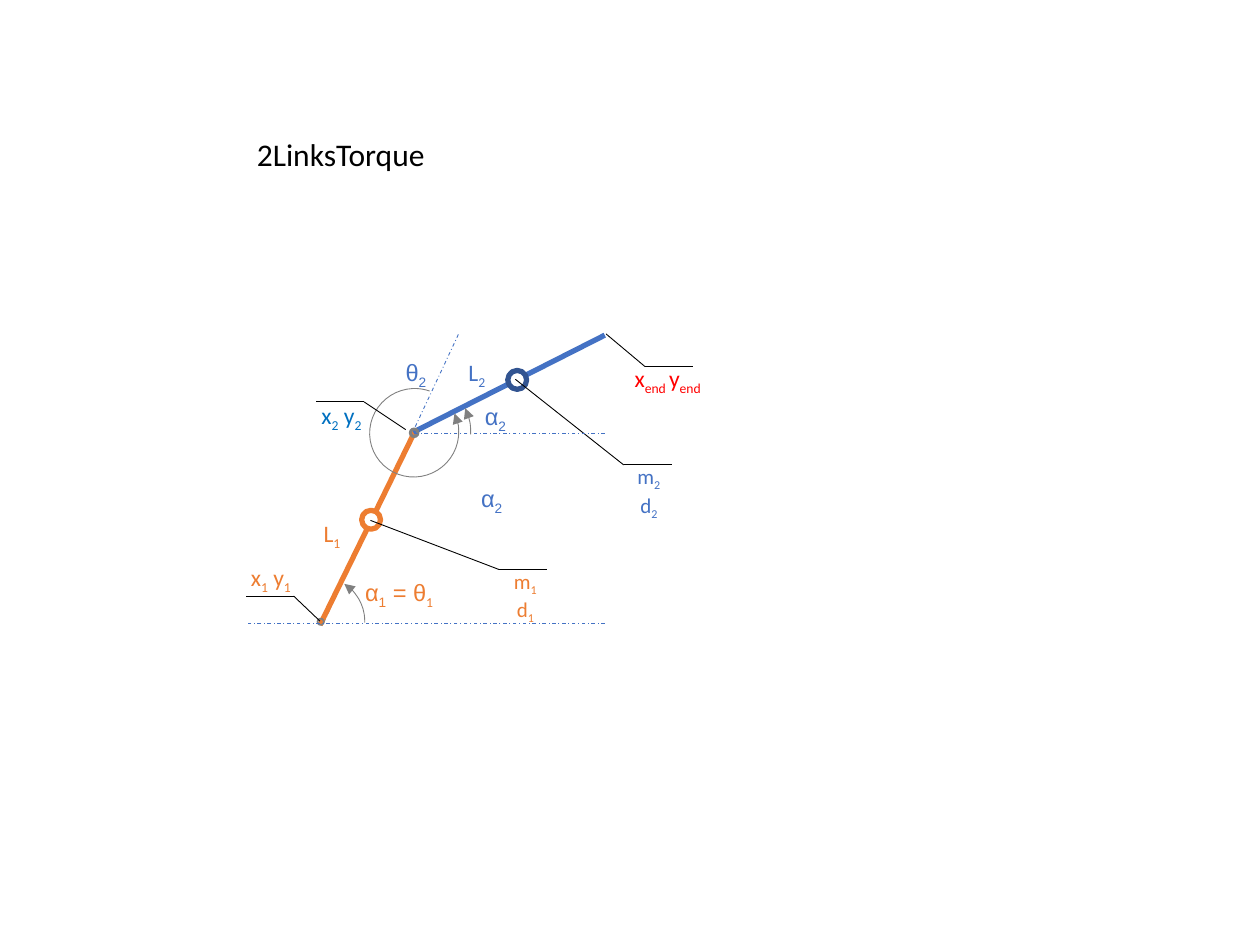
import pptx
import pptx.util
import pptx.dml.color
import pptx.enum.dml
import pptx.enum.shapes
import pptx.enum.text
import pptx.oxml.ns
import lxml.etree

RGB = pptx.dml.color.RGBColor
SHAPE = pptx.enum.shapes.MSO_SHAPE
BLUE = RGB(0x44, 0x72, 0xC4)
NAVY = RGB(0x32, 0x54, 0x91)
SKY = RGB(0x00, 0x70, 0xC0)
ORANGE = RGB(0xED, 0x7D, 0x31)
RED = RGB(0xFF, 0x00, 0x00)
GREY = RGB(0x80, 0x80, 0x80)
BLACK = RGB(0x00, 0x00, 0x00)
WHITE = RGB(0xFF, 0xFF, 0xFF)

COLS, ROWS = 100, 75
SANS, GREEK = "Calibri", "Arial"


class Sketch:
    """Draws on one slide; lengths are grid columns and rows."""

    def __init__(self, deck):
        self.slide = deck.slides.add_slide(deck.slide_layouts[6])
        self.shapes = self.slide.shapes
        self.col = deck.slide_width / COLS
        self.row = deck.slide_height / ROWS

    def place(self, x, y):
        return round(x * self.col), round(y * self.row)

    def line(self, start, end, color=BLACK, width=0.5, dash=False):
        link = self.shapes.add_connector(
            pptx.enum.shapes.MSO_CONNECTOR.STRAIGHT,
            *self.place(*start), *self.place(*end))
        link.line.color.rgb = color
        link.line.width = pptx.util.Pt(width)
        if dash:
            link.line.dash_style = pptx.enum.dml.MSO_LINE.DASH_DOT
        lxml.etree.SubElement(link._element.spPr, pptx.oxml.ns.qn("a:effectLst"))

    def round(self, kind, mid, wide, high, color, width, fill=None):
        """A round shape about its middle."""
        item = self.shapes.add_shape(
            kind, *self.place(mid[0] - wide / 2, mid[1] - high / 2),
            *self.place(wide, high))
        item.shadow.inherit = False
        item.line.color.rgb = color
        item.line.width = pptx.util.Pt(width)
        if fill is None:
            item.fill.background()
        else:
            item.fill.solid()
            item.fill.fore_color.rgb = fill
        return item

    def angle(self, mid, size, first, last, turn, dot):
        """An arc with its arrow at the first angle, and a pivot dot."""
        arc = self.round(SHAPE.ARC, mid, size, size + 0.1, GREY, 0.5)
        arc.rotation = turn
        # One degree is 0.6 of an arc adjustment
        arc.adjustments[0] = (first - turn) * 0.6
        arc.adjustments[1] = (last - turn) * 0.6
        lxml.etree.SubElement(arc.line._get_or_add_ln(),
                              pptx.oxml.ns.qn("a:headEnd"), type="triangle")
        self.round(SHAPE.OVAL, mid, dot, dot, GREY, 1)

    def mass(self, mid, color):
        self.round(SHAPE.OVAL, mid, 1.5, 1.5, color, 3, WHITE)

    def label(self, text, x, y, wide, color, font=SANS, size=13.5,
              high=3.3, wrap=False):
        """Text in which every second part between bars is a subscript."""
        box = self.shapes.add_textbox(*self.place(x, y), *self.place(wide, high))
        frame = box.text_frame
        frame.word_wrap = wrap
        frame.auto_size = pptx.enum.text.MSO_AUTO_SIZE.SHAPE_TO_FIT_TEXT
        para = frame.paragraphs[0]
        if wrap:
            para.alignment = pptx.enum.text.PP_ALIGN.CENTER
        for i, part in enumerate(text.split("|")):
            run = para.add_run()
            run.text = part
            run.font.name = font
            run.font.size = pptx.util.Pt(size)
            run.font.color.rgb = color
            if i % 2:
                run._r.get_or_add_rPr().set("baseline", "-25000")
        return para

    def callout(self, text, box, color, tip, bend, shelf, size=13.5, high=3.3):
        """A centred label with a leader from tip to bend and a shelf."""
        self.label(text, *box, color, size=size, high=high, wrap=True)
        self.line(tip, bend)
        self.line(bend, (bend[0] + shelf, bend[1]))


deck = pptx.Presentation()
deck.slide_width = pptx.util.Inches(10)
deck.slide_height = pptx.util.Inches(7.5)
art = Sketch(deck)

base, elbow, end = (25.45, 49.35), (32.87, 34.35), (48, 26.6)
SHELF = 3.8

# Links and the extension of the first link
art.line((25.7, 49.4), (36.4, 26.5), BLUE, dash=True)
art.line((25.4, 49.6), (32.9, 34.3), ORANGE, 3)
art.line((32.8, 34.3), end, BLUE, 3)

# Angle theta 2 and names at the second link
art.angle(elbow, 7, 334.3, 290.3, 57.8, 0.5)
art.label("θ|2", 31.2, 27.9, 3.9, BLUE, GREEK)
art.label("L|2", 36.2, 27.9, 3.4, BLUE)

# Callouts of the end point, the elbow and the second mass
art.callout("x|end |y|end", (47.7, 28.4, 10.6), RED,
            (48.1, 26.5), (51.2, 29.1), SHELF)
art.callout("x|2| y|2", (24.4, 31.3, 5.4), SKY,
            (32.2, 34.1), (28.9, 31.9), -SHELF)
art.mass((41.05, 30.15), NAVY)
art.callout("m|2| d|2", (48.8, 36.3, 5.4), BLUE,
            (40.9, 30.1), (49.5, 36.9), SHELF, 12, 5)

# Angle alpha 2
art.line((48, 34.4), (32.8, 34.4), BLUE, dash=True)
art.angle(elbow, 8.9, 334.3, 361.7, 57.8, 0.7)
art.label("α|2", 37.2, 37.9, 3.8, BLUE, GREEK)

# Angle alpha 1 and the first link
art.angle(base, 7, 302, 361.3, 20.9, 0.5)
alpha = art.label("α|1| = θ|1 ", 28, 45.4, 7.7, ORANGE, GREEK)
alpha.runs[-1].font.name = SANS
art.label("L|1", 24.7, 40.7, 3.4, ORANGE)
art.mass((29.45, 41.25), ORANGE)

# Callouts of the base and the first mass
art.callout("x|1| y|1", (18.8, 44.2, 5.4), ORANGE,
            (25.4, 49.3), (23.3, 47.3), -SHELF)
art.line((48, 49.5), (19.5, 49.5), BLUE, dash=True)
art.callout("m|1| d|1", (39, 44.6, 5.4), ORANGE,
            (29.4, 41.3), (39.6, 45.2), SHELF, 12, 5)

# Title and the inner angle name
art.label("2LinksTorque", 19.4, 10.2, 15.5, BLACK, size=18, high=4)
art.label("α|2", 37.5, 31.4, 3.8, BLUE, GREEK)

deck.save("out.pptx")
